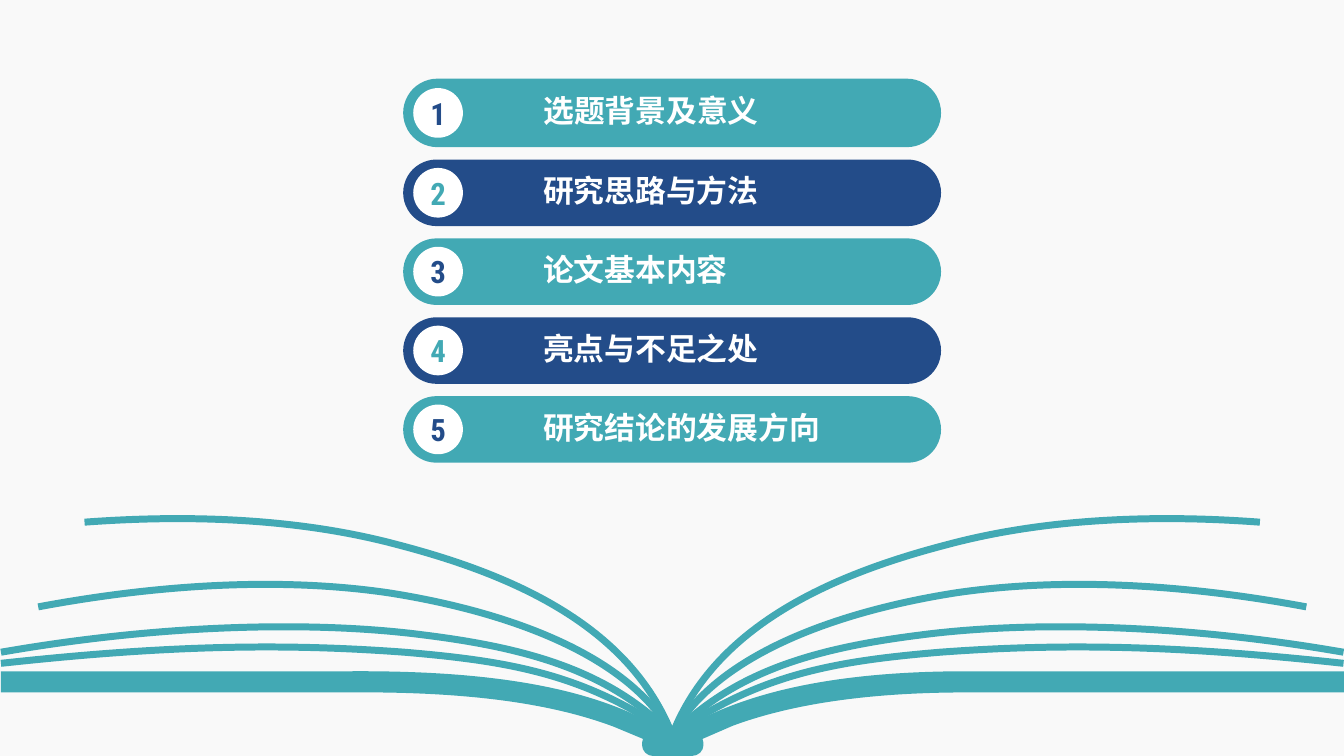
from dataclasses import dataclass

from lxml.etree import SubElement
from pptx import Presentation
from pptx.dml.color import RGBColor
from pptx.enum.shapes import MSO_SHAPE
from pptx.enum.text import MSO_ANCHOR, PP_ALIGN
from pptx.oxml.ns import qn
from pptx.util import Pt


@dataclass(frozen=True)
class Theme:
    paper: RGBColor = RGBColor(0xF9, 0xF9, 0xF9)
    white: RGBColor = RGBColor(0xFF, 0xFF, 0xFF)
    teal: RGBColor = RGBColor(0x42, 0xA9, 0xB4)
    navy: RGBColor = RGBColor(0x23, 0x4C, 0x89)
    text_font: str = "Noto Sans CJK SC"
    number_font: str = "Roboto Condensed"
    text_size: float = 22
    page_line: float = 5


@dataclass(frozen=True)
class Box:
    left: float
    top: float
    width: float
    height: float

    @property
    def center(self):
        return self.left + self.width / 2

    @property
    def bottom(self):
        return self.top + self.height


THEME = Theme()
CHAPTERS = ["选题背景及意义", "研究思路与方法", "论文基本内容", "亮点与不足之处", "研究结论的发展方向"]

# Outlines hold distances right of and above an origin. The first part is the
# start; after it, one point makes a line and three points make a curve.
# Right-hand pages, measured from the spine.
PAGES = [
    [[(0, 0)], [(44.6, 45.4), (102.2, 61.9), (177.1, 71.3)],
     [(247.7, 80.6), (355.7, 80.6), (479.5, 59)]],
    [[(0, 0)], [(61.9, 43.2), (115.2, 52.6), (190.8, 59)],
     [(277.9, 65.5), (360, 64.1), (479.5, 51.1)]],
    [[(0, 0)], [(32.4, 59.8), (124.6, 89.3), (203, 101.5)],
     [(272.2, 111.6), (356.4, 109.4), (452.9, 91.4)]],
    [[(0, 0)], [(31, 79.2), (116.6, 115.2), (197.3, 136.1)],
     [(265, 154.1), (342, 157.7), (419.8, 151.9)]],
]
SPINE_HEIGHT = 15.1

# Cover, measured from the middle of the bottom edge.
COVER = [
    [(-479.5, 60.5)],
    [(-231, 60.5)],
    [(-135.4, 61.2), (-67.7, 50.4), (-19.4, 25.9)],
    [(-4.3, 17.3)],
    [(5, 17.3)],
    [(20.9, 26.6)],
    [(71.3, 51.8), (138.2, 60.5), (210.2, 60.5)],
    [(480, 60.5)],
    [(480, 45.4)],
    [(210.2, 45.4)],
    [(148.3, 45.4), (90, 38.9), (43.2, 21.6)],
    [(21.6, 12.2)],
    [(22.3, 9.4)],
    [(22.3, 7.9)],
    [(22.3, 3.6), (18.7, 0), (13.7, 0)],
    [(-13.7, 0)],
    [(-18, 0), (-21.6, 3.6), (-21.6, 7.9)],
    [(-21.6, 9.4)],
    [(-20.9, 12.2)],
    [(-41.8, 20.9)],
    [(-87.8, 38.2), (-149, 46.1), (-231, 45.4)],
    [(-479.5, 45.4)],
]


def add_outline(slide, parts, origin, mirror=1, closed=False):
    """Draw an outline of lines and curves around the origin."""
    points = [(Pt(origin[0] + mirror * x), Pt(origin[1] - y)) for part in parts for x, y in part]
    builder = slide.shapes.build_freeform(*points[0])
    builder.add_line_segments(points[1:], close=closed)
    shape = builder.convert_to_shape()
    shape.shadow.inherit = False
    lines = iter(list(shape._element.iter(qn("a:lnTo"))))
    for part in parts[1:]:
        segment = next(lines)
        if len(part) == 3:
            curve = segment.makeelement(qn("a:cubicBezTo"))
            segment.addprevious(curve)
            for line in (segment, next(lines), next(lines)):
                curve.append(line[0])
                line.getparent().remove(line)
    return shape


def add_filled_shape(slide, kind, box, color):
    shape = slide.shapes.add_shape(
        kind, Pt(box.left), Pt(box.top), Pt(box.width), Pt(box.height))
    shape.shadow.inherit = False
    shape.fill.solid()
    shape.fill.fore_color.rgb = color
    shape.line.fill.background()
    return shape


def set_text(shape, text, *, font, color, align=PP_ALIGN.LEFT, margin_left=0.0, line_spacing=1.0):
    frame = shape.text_frame
    frame.word_wrap = True
    frame.vertical_anchor = MSO_ANCHOR.MIDDLE
    frame.margin_left = Pt(margin_left)
    frame.margin_right = frame.margin_top = frame.margin_bottom = 0
    paragraph = frame.paragraphs[0]
    paragraph.alignment = align
    paragraph.line_spacing = line_spacing
    run = paragraph.add_run()
    run.text = text
    run.font.name = font
    run.font.size = Pt(THEME.text_size)
    run.font.bold = True
    run.font.color.rgb = color
    SubElement(run.font._element, qn("a:ea")).set("typeface", font)


def add_book(slide, box):
    spine = (box.center, box.bottom - SPINE_HEIGHT)
    for page in PAGES:
        for side in (-1, 1):
            shape = add_outline(slide, page, spine, mirror=side)
            shape.fill.background()
            shape.line.color.rgb = THEME.teal
            shape.line.width = Pt(THEME.page_line)
    cover = add_outline(slide, COVER, (box.center, box.bottom), closed=True)
    cover.fill.solid()
    cover.fill.fore_color.rgb = THEME.teal
    cover.line.fill.background()


def add_chapter(slide, box, number, title):
    bar_color, number_color = (
        (THEME.teal, THEME.navy) if number % 2 else (THEME.navy, THEME.teal))
    bar = add_filled_shape(slide, MSO_SHAPE.ROUNDED_RECTANGLE, box, bar_color)
    bar.adjustments[0] = 0.5
    set_text(bar, title, font=THEME.text_font, color=THEME.white,
             margin_left=93, line_spacing=0.9)
    size = 35.5
    badge_box = Box(box.left + 7.2, box.top + (box.height - size) / 2, size, size)
    badge = add_filled_shape(slide, MSO_SHAPE.OVAL, badge_box, THEME.white)
    set_text(badge, str(number), font=THEME.number_font, color=number_color,
             align=PP_ALIGN.CENTER)


def add_contents(slide, box):
    gap = 8.8
    first_extra = 1.4  # the first bar is slightly taller
    count = len(CHAPTERS)
    height = (box.height - first_extra - gap * (count - 1)) / count
    top = box.top
    for number, title in enumerate(CHAPTERS, start=1):
        bar_height = height + (first_extra if number == 1 else 0)
        add_chapter(slide, Box(box.left, top, box.width, bar_height), number, title)
        top += bar_height + gap


def main():
    presentation = Presentation()
    presentation.slide_width = Pt(960)
    presentation.slide_height = Pt(540)
    slide = presentation.slides.add_slide(presentation.slide_layouts[6])
    add_filled_shape(slide, MSO_SHAPE.RECTANGLE, Box(0, 0, 960, 540), THEME.paper)
    add_book(slide, Box(0.2, 367, 960, 173))
    add_contents(slide, Box(288, 56.2, 384.2, 274.3))
    presentation.save("out.pptx")


if __name__ == "__main__":
    main()
